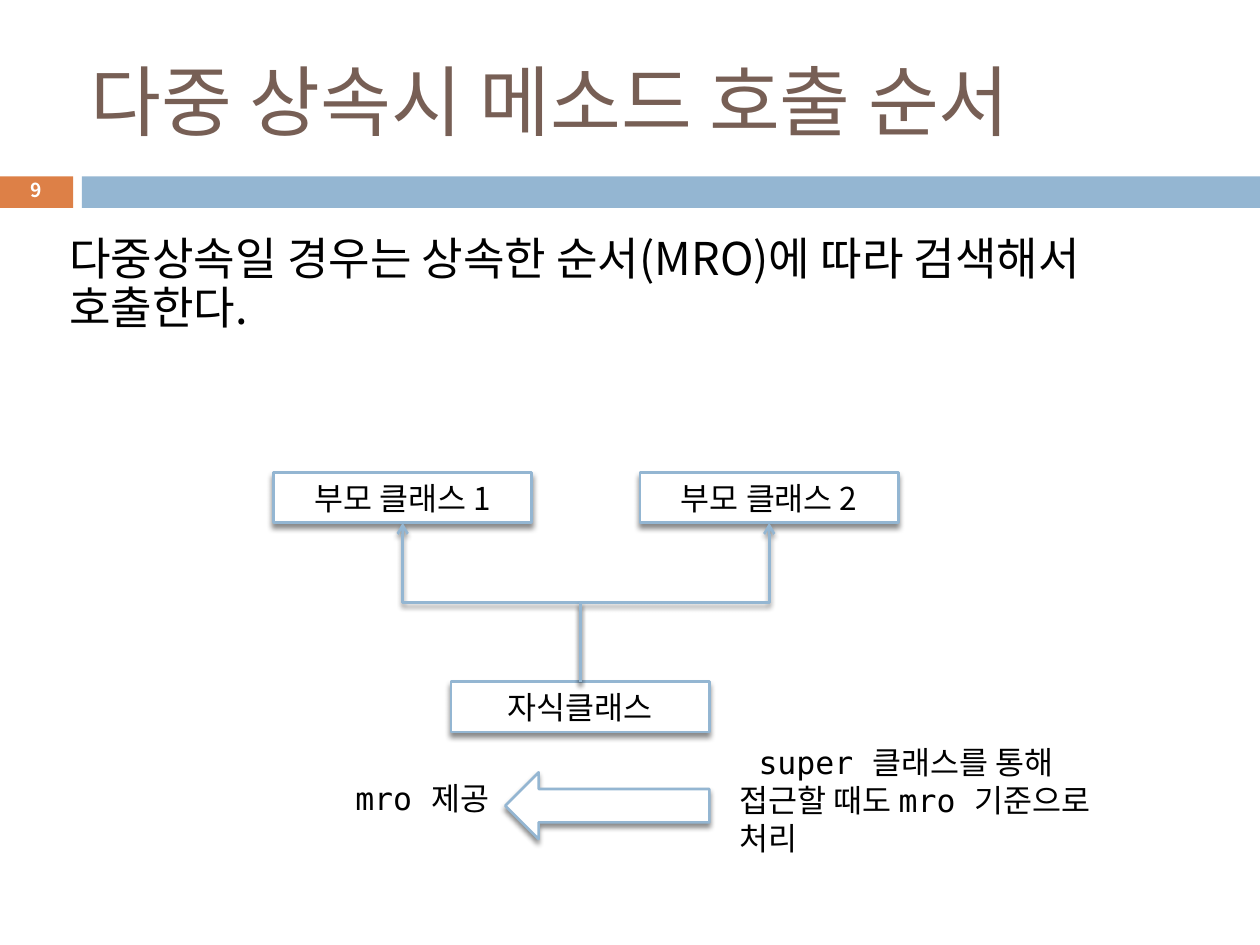
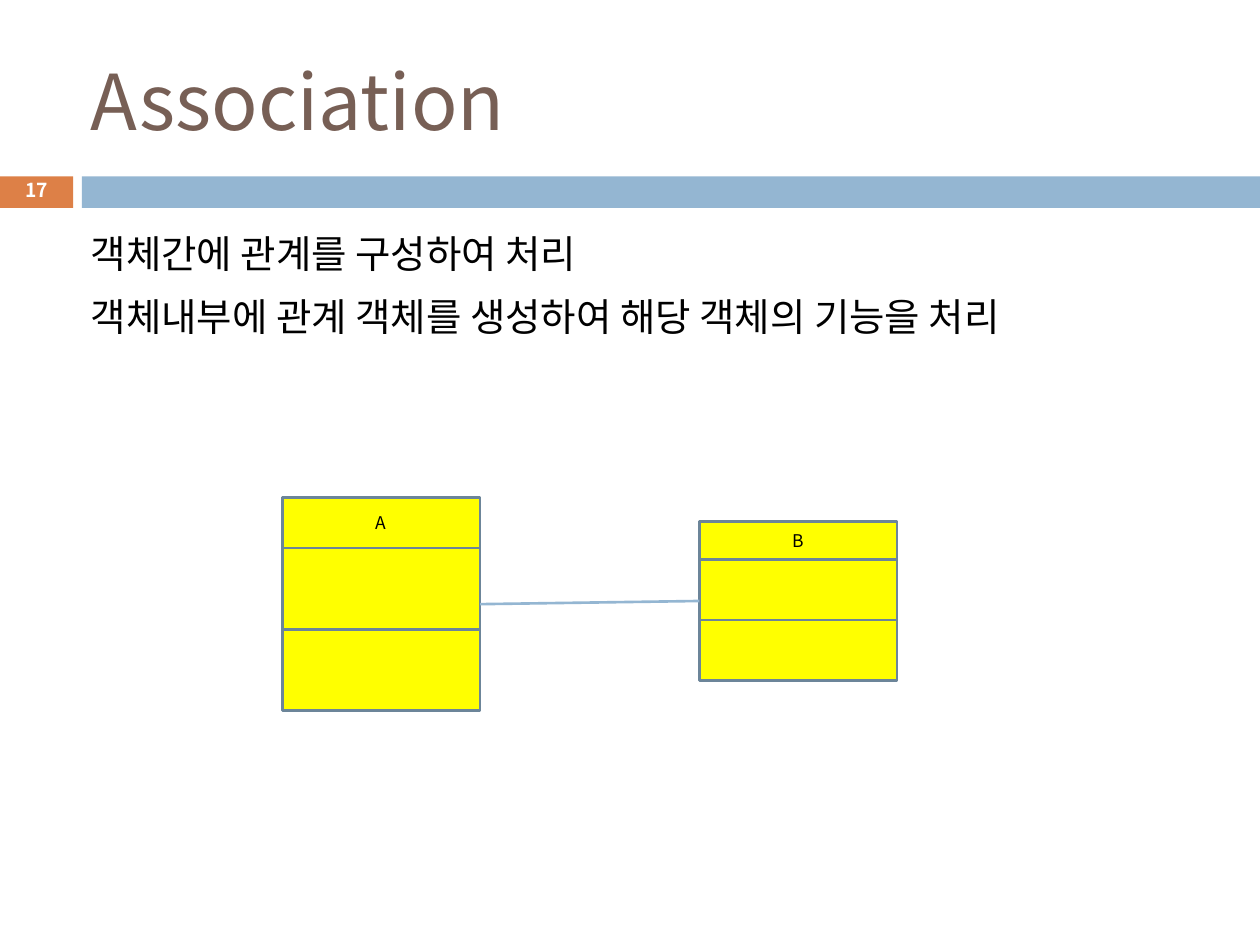
from dataclasses import dataclass
from lxml.etree import SubElement
from pptx import Presentation
from pptx.dml.color import RGBColor
from pptx.enum.shapes import MSO_CONNECTOR, MSO_SHAPE
from pptx.enum.text import MSO_ANCHOR, MSO_AUTO_SIZE, PP_ALIGN
from pptx.oxml.ns import qn
from pptx.util import Inches, Pt


@dataclass(frozen=True)
class Theme:
    sans: str = "Noto Sans CJK KR"
    mono: str = "DejaVu Sans Mono"
    white: str = "FFFFFF"
    black: str = "000000"
    brown: str = "775F55"
    orange: str = "DD8047"
    blue: str = "94B6D2"
    steel: str = "6C8599"
    yellow: str = "FFFF00"
    title: float = 44
    label: float = 18
    small: float = 10
    number: float = 11
    line: float = 1.5


T = Theme()

# Places are (column, row, columns, rows) on a grid of 100 x 75 cells.
COLS, ROWS = 100, 75
CELL = 0.1
TITLE = (6.7, 2.5, 89.2, 10.8)
BAND_TOP, BAND_H = 14, 2.5
TAB_W, BAND_X = 5.8, 6.5
NUM_TOP, NUM_H = 13.7, 3

MRO = {
    "number": "9",
    "title": "다중 상속시 메소드 호출 순서",
    "body": ["다중상속일 경우는 상속한 순서(MRO)에 따라 검색해서 호출한다."],
    "place": (5, 18.3, 90, 10.6),
    "size": 25.8, "spacing": 0.9, "gap": 6,
}
LINK = {
    "number": "17",
    "title": "Association",
    "body": ["객체간에 관계를 구성하여 처리",
             "객체내부에 관계 객체를 생성하여 해당 객체의 기능을 처리"],
    "place": (6.7, 17.5, 89.2, 10.6),
    "size": 22, "spacing": 1.08, "gap": 7,
}

BOX_W, BOX_H = 20.5, 4
PARENT_Y = 37.5
PARENTS = [("부모 클래스 1", 21.7), ("부모 클래스 2", 50.8)]
CHILD = ("자식클래스", 35.8, 54.1)
ARROW = (40.1, 61.3, 16.2, 5.3)
NOTES = [("mro 제공", (26.2, 61.3, 19.3, 4)),
         ("super 클래스를 통해 접근할 때도 mro 기준으로 처리", (58.2, 58.5, 33.1, 10.1))]
NOTE_INDENT = 1.5

# Name, left, top, rows of the head, rows of each part below it
CLASSES = [("A", 22.4, 39.5, 4, 6.45), ("B", 55.5, 41.4, 3, 4.8)]
CLASS_W = 15.7


def grid(*cells):
    return [Inches(cell * CELL) for cell in cells]


def color(code):
    return RGBColor.from_string(code)


def style(par, size, ink=T.black, face=T.sans, bold=False, align=PP_ALIGN.LEFT):
    par.alignment = align
    font = par.font
    font.size, font.name, font.bold = Pt(size), face, bold
    font.color.rgb = color(ink)
    props = par._p.get_or_add_pPr().find(qn("a:defRPr"))
    SubElement(props, qn("a:ea"), typeface=T.sans)


def indent(par, cells=0):
    """Indent the first line only and drop any bullet."""
    props = par._p.get_or_add_pPr()
    props.set("marL", "0")
    props.set("indent", str(grid(cells)[0]))
    SubElement(props, qn("a:buNone"))


def frame(shape, anchor=MSO_ANCHOR.TOP):
    text = shape.text_frame
    text.word_wrap = True
    text.auto_size = MSO_AUTO_SIZE.NONE
    text.vertical_anchor = anchor
    text.margin_left = text.margin_right = Inches(0.05)
    text.margin_top = text.margin_bottom = Inches(0.05)
    return text


def move(shape, place):
    shape.left, shape.top, shape.width, shape.height = grid(*place)


def shade(shape):
    """Give a shape or connector a soft shadow below it."""
    props = shape._element.spPr
    for old in props.findall(qn("a:effectLst")):
        props.remove(old)
    effects = SubElement(props, qn("a:effectLst"))
    drop = SubElement(effects, qn("a:outerShdw"), blurRad=str(Pt(3)),
                      dist=str(Pt(2.4)), dir="5400000", rotWithShape="0")
    tint = SubElement(drop, qn("a:srgbClr"), val=T.black)
    SubElement(tint, qn("a:alpha"), val="45000")


def draw(shapes, place, fill, edge=None, kind=MSO_SHAPE.RECTANGLE):
    shape = shapes.add_shape(kind, *grid(*place))
    shape.shadow.inherit = False
    shape.fill.solid()
    shape.fill.fore_color.rgb = color(fill)
    if edge:
        shape.line.color.rgb = color(edge)
        shape.line.width = Pt(T.line)
    else:
        shape.line.fill.background()
    return shape


def label(shape, words, size):
    par = frame(shape, MSO_ANCHOR.MIDDLE).paragraphs[0]
    par.text = words
    style(par, size, align=PP_ALIGN.CENTER)


def join(slide, kind, start, end):
    line = slide.shapes.add_connector(kind, *grid(*start, *end))
    line.line.color.rgb = color(T.blue)
    line.line.width = Pt(T.line)
    SubElement(line._element.spPr, qn("a:effectLst"))
    return line


def climb(slide, start, end):
    """Draw an elbow arrow that leaves and arrives vertically."""
    mid_x, mid_y = (start[0] + end[0]) / 2, (start[1] + end[1]) / 2
    off_x, off_y = start[0] - mid_x, start[1] - mid_y
    line = join(slide, MSO_CONNECTOR.ELBOW,
                (mid_x - off_y, mid_y + off_x), (mid_x + off_y, mid_y - off_x))
    line._element.spPr.find(qn("a:xfrm")).set("rot", "16200000")
    SubElement(line.line._get_or_add_ln(), qn("a:tailEnd"), type="arrow")
    shade(line)


def begin(deck, page):
    slide = deck.slides.add_slide(deck.slide_layouts[1])
    shapes = slide.shapes
    draw(shapes, (0, BAND_TOP, TAB_W, BAND_H), T.orange)
    draw(shapes, (BAND_X, BAND_TOP, COLS - BAND_X, BAND_H), T.blue)

    move(shapes.title, TITLE)
    head = frame(shapes.title, MSO_ANCHOR.MIDDLE).paragraphs[0]
    head.text = page["title"]
    style(head, T.title, T.brown)

    body = slide.placeholders[1]
    move(body, page["place"])
    text = frame(body)
    text.text = "\n".join(page["body"])
    for rank, par in enumerate(text.paragraphs):
        par.line_spacing = page["spacing"]
        par.space_before = Pt(page["gap"] if rank else 0)
        indent(par)
        style(par, page["size"])

    box = shapes.add_textbox(*grid(0, NUM_TOP, TAB_W, NUM_H))
    par = frame(box, MSO_ANCHOR.MIDDLE).paragraphs[0]
    par.text = page["number"]
    par.line_spacing = 0.8
    style(par, T.number, T.white, bold=True, align=PP_ALIGN.CENTER)
    return slide


def node(slide, words, left, top):
    box = draw(slide.shapes, (left, top, BOX_W, BOX_H), T.white, T.blue)
    shade(box)
    label(box, words, T.label)


def show_mro(deck):
    slide = begin(deck, MRO)
    for words, left in PARENTS:
        node(slide, words, left, PARENT_Y)
    node(slide, *CHILD)
    _, left, top = CHILD
    for _, side in PARENTS:
        climb(slide, (left + BOX_W / 2, top),
              (side + BOX_W / 2, PARENT_Y + BOX_H))
    for words, place in NOTES:
        par = frame(slide.shapes.add_textbox(*grid(*place))).paragraphs[0]
        par.text = words
        indent(par, NOTE_INDENT)
        style(par, T.label, face=T.mono)
    shade(draw(slide.shapes, ARROW, T.white, T.blue, MSO_SHAPE.LEFT_ARROW))


def show_link(deck):
    slide = begin(deck, LINK)
    mids = []
    for name, left, top, head, part in CLASSES:
        group = slide.shapes.add_group_shape().shapes
        label(draw(group, (left, top, CLASS_W, head), T.yellow, T.steel),
              name, T.small)
        for row in range(2):
            draw(group, (left, top + head + row * part, CLASS_W, part),
                 T.yellow, T.steel)
        mids.append((left, top + head / 2 + part))
    (left, top), end = mids
    join(slide, MSO_CONNECTOR.STRAIGHT, (left + CLASS_W, top), end)


def main():
    deck = Presentation()
    deck.slide_width, deck.slide_height = grid(COLS, ROWS)
    show_mro(deck)
    show_link(deck)
    deck.save("out.pptx")


if __name__ == "__main__":
    main()
